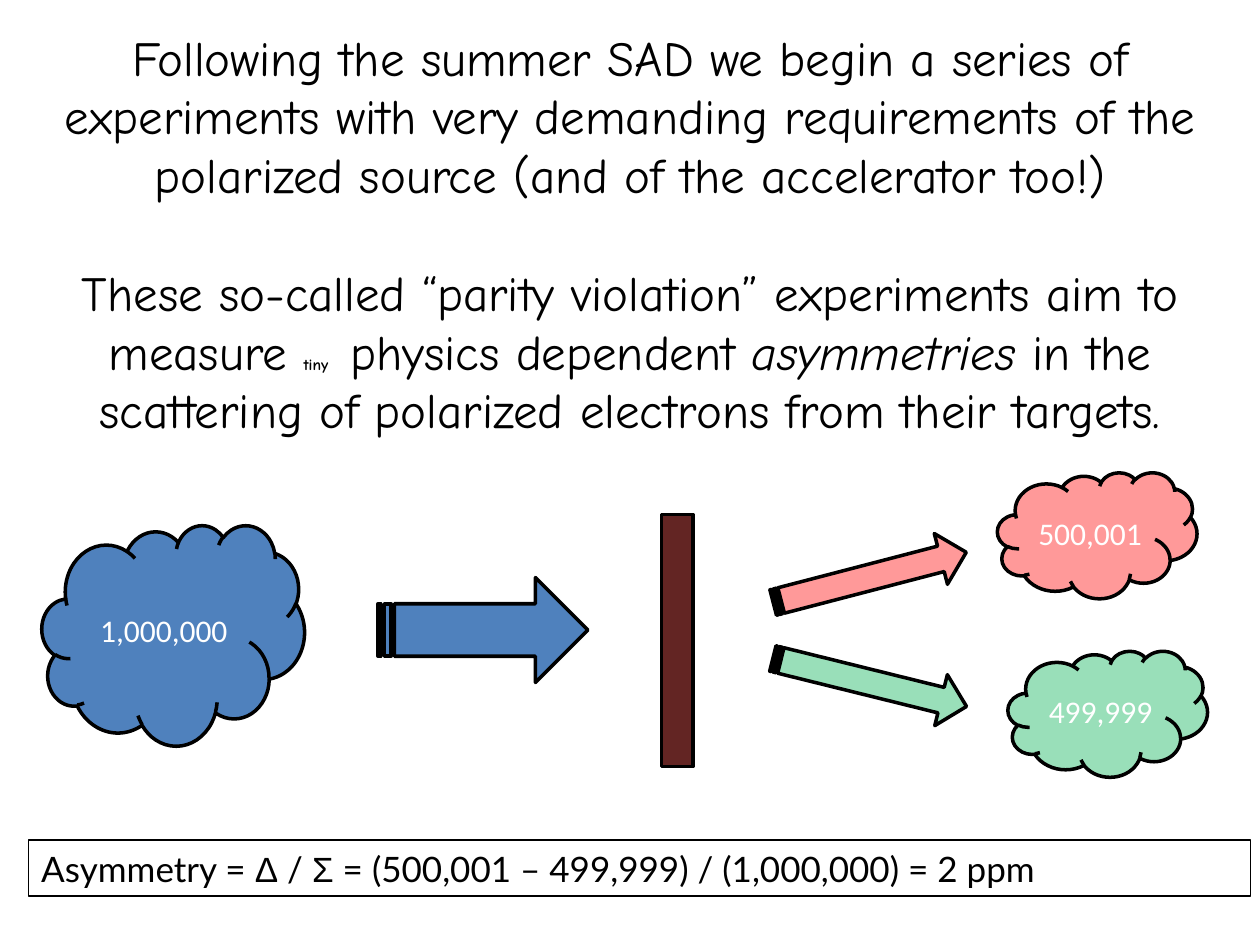
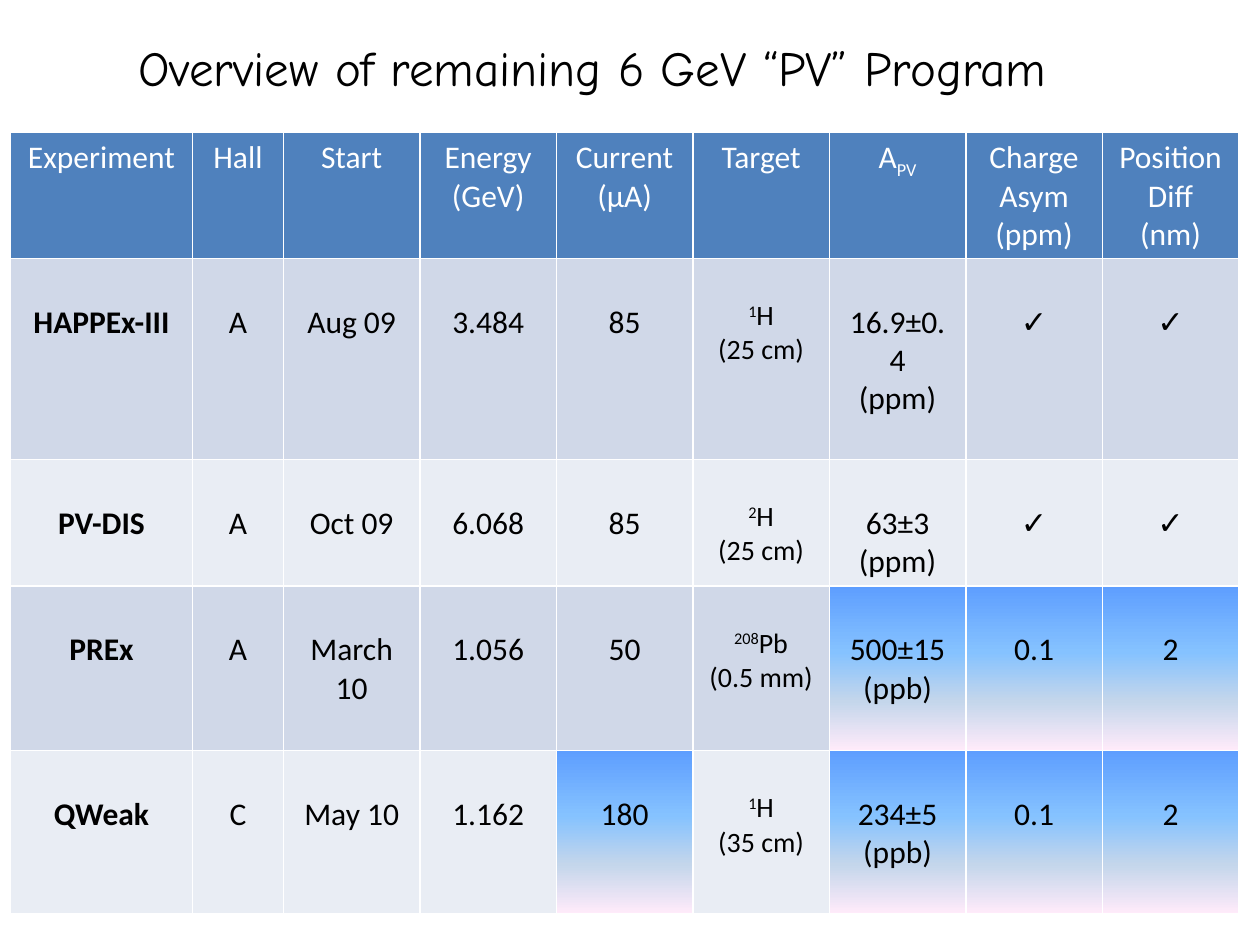
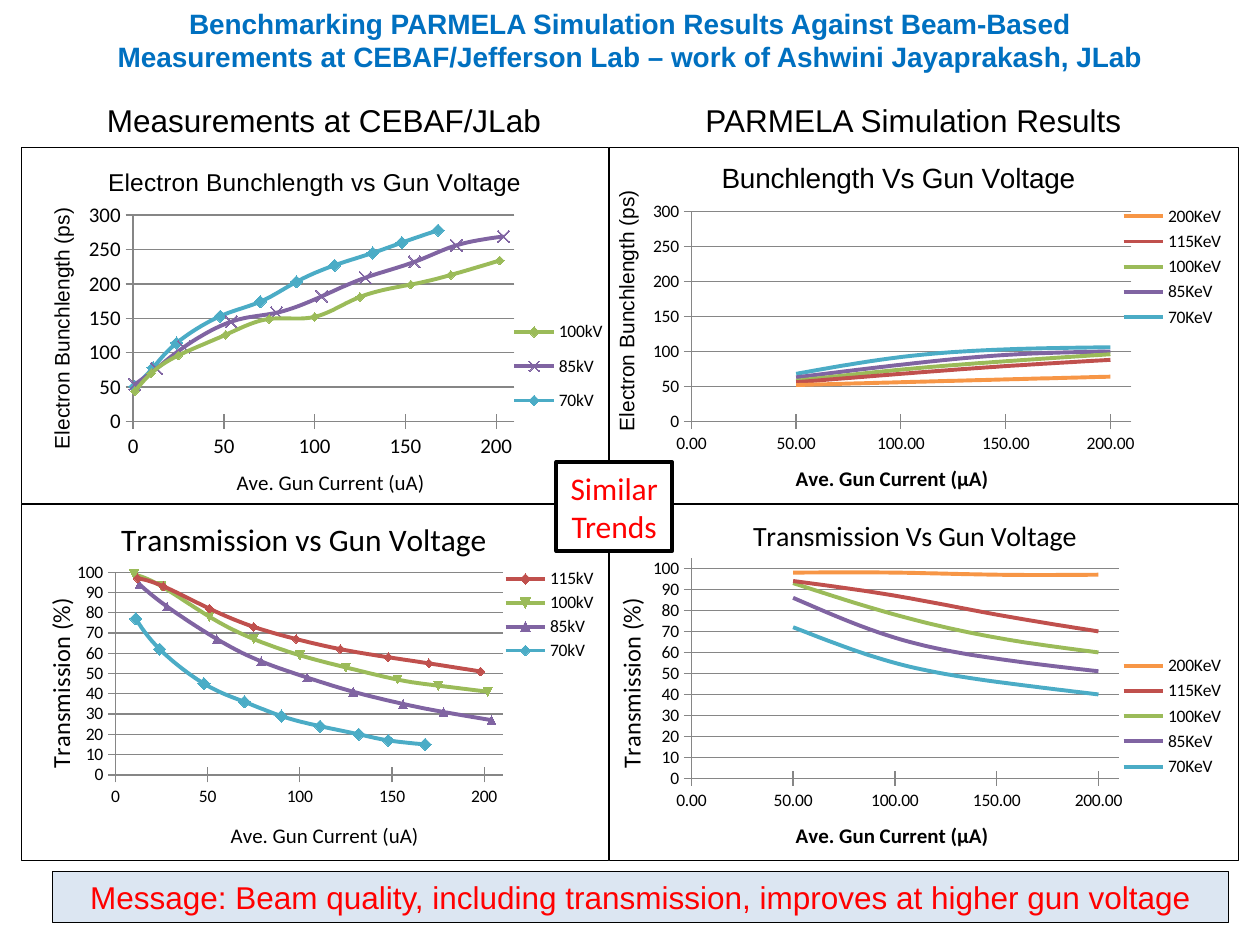
from dataclasses import dataclass, replace
from typing import NamedTuple, Optional

from lxml.etree import SubElement
from pptx import Presentation
from pptx.chart.data import XyChartData
from pptx.dml.color import RGBColor
from pptx.enum.chart import XL_CHART_TYPE as ChartKind
from pptx.enum.chart import XL_LEGEND_POSITION as LegendSide
from pptx.enum.chart import XL_MARKER_STYLE as Mark
from pptx.enum.chart import XL_TICK_MARK as Tick
from pptx.enum.shapes import MSO_SHAPE as Preset
from pptx.enum.text import MSO_ANCHOR as Anchor
from pptx.enum.text import PP_ALIGN as Align
from pptx.oxml import parse_xml
from pptx.oxml.ns import nsdecls, qn
from pptx.util import Pt

# Shared colours
BLACK, WHITE, RED = "000000", "FFFFFF", "FF0000"
BLUE, GREEN, MAROON, TITLE_BLUE = "4F81BD", "00B050", "632523", "0070C0"
BAND_DARK, BAND_LIGHT, MESSAGE_FILL, GRID = "D0D8E8", "E9EDF4", "DCE6F2", "868686"
HIGHLIGHT = [(0, "5E9EFF"), (40, "85C2FF"), (70, "C4D6EB"), (100, "FFEBFA")]


class Box(NamedTuple):
    left: float
    top: float
    width: float
    height: float


class Span(NamedTuple):
    text: str
    size: Optional[float] = None
    font: Optional[str] = None
    bold: Optional[bool] = None
    italic: Optional[bool] = None
    baseline: int = 0


@dataclass(frozen=True)
class Style:
    font: str
    size: float
    color: str = BLACK
    bold: bool = False
    align: Align = Align.CENTER


# Shared text styles
HEADLINE = Style("Comic Neue", 28)
BODY = Style("Calibri", 18)
ARIAL = Style("Arial", 18, align=Align.LEFT)


def rgb(value: str) -> RGBColor:
    return RGBColor.from_string(value)


def set_font(font, style: Style) -> None:
    font.name, font.size, font.bold = style.font, Pt(style.size), style.bold
    font.color.rgb = rgb(style.color)


def write(frame, paragraphs: list, style: Style, gap: float = 0) -> None:
    """Each paragraph is a string or a list of spans."""
    for number, content in enumerate(paragraphs):
        paragraph = frame.add_paragraph() if number else frame.paragraphs[0]
        paragraph.alignment = style.align
        if number and gap:
            paragraph.space_before = Pt(gap)
        set_font(paragraph.font, style)
        for span in [Span(content)] if isinstance(content, str) else content:
            run = paragraph.add_run()
            run.text = span.text
            if span.size:
                run.font.size = Pt(span.size)
            if span.font:
                run.font.name = span.font
            if span.bold:
                run.font.bold = True
            if span.italic:
                run.font.italic = True
            if span.baseline:
                run._r.get_or_add_rPr().set("baseline", str(span.baseline * 1000))


def add_text(slide, box: Box, paragraphs: list, style: Style, gap: float = 0) -> None:
    frame = slide.shapes.add_textbox(*map(Pt, box)).text_frame
    frame.word_wrap = True
    write(frame, paragraphs, style, gap)


@dataclass
class Part:
    preset: Preset
    box: Box
    fill: Optional[str] = None
    line: float = 2
    text: tuple = ()
    style: Style = replace(BODY, color=WHITE)
    opacity: int = 100
    turn: float = 0


def add_part(slide, part: Part) -> None:
    shape = slide.shapes.add_shape(part.preset, *map(Pt, part.box))
    shape.shadow.inherit = False
    shape.rotation = part.turn
    shape.line.color.rgb, shape.line.width = rgb(BLACK), Pt(part.line)
    if part.fill:
        shape.fill.solid()
        shape.fill.fore_color.rgb = rgb(part.fill)
    else:
        shape.fill.background()
    if part.opacity < 100:
        color = shape._element.spPr.find(qn("a:solidFill"))[0]
        SubElement(color, qn("a:alpha")).set("val", str(part.opacity * 1000))
    if part.text:
        shape.text_frame.word_wrap = True
        shape.text_frame.vertical_anchor = Anchor.MIDDLE
        write(shape.text_frame, list(part.text), part.style)


# Slide 1: the asymmetry measurement
def build_asymmetry(slide) -> None:
    add_text(slide, Box(0, 12, 720, 261), [
        "Following the summer SAD we begin a series of experiments with very demanding "
        "requirements of the polarized source (and of the accelerator too!)",
        [Span("These so-called “parity violation” experiments aim to measure "),
         Span("tiny ", size=9, bold=True), Span(" physics dependent "),
         Span("asymmetries", italic=True),
         Span(" in the scattering of polarized electrons from their targets.")],
    ], HEADLINE, gap=33.5)

    cloud, arrow = Preset.CLOUD, Preset.STRIPED_RIGHT_ARROW
    equation = [Span("Asymmetry = "), Span("Δ", font="Arial"), Span(" / "),
                Span("Σ", font="Arial"),
                Span(" = (500,001 – 499,999) / (1,000,000) = 2 ppm")]
    for part in (
        Part(cloud, Box(24, 300, 150, 126), BLUE, text=("1,000,000",)),
        Part(arrow, Box(216, 330, 120, 60), BLUE),
        Part(Preset.RECTANGLE, Box(378, 294, 18, 144), MAROON),
        Part(arrow, Box(440, 315, 114, 30), RED, opacity=40, turn=345.4),
        Part(arrow, Box(440, 375, 114, 30), GREEN, opacity=40, turn=13.9),
        Part(cloud, Box(570, 270, 114, 72), RED, text=("500,001",), opacity=40),
        Part(cloud, Box(576, 372, 114, 72), GREEN, text=("499,999",), opacity=40),
        Part(Preset.RECTANGLE, Box(16.5, 480, 698, 32), line=0.75, text=(equation,),
             style=Style("Lato", 20, align=Align.LEFT)),
    ):
        add_part(slide, part)


# Slide 2: the experiment table
class Experiment(NamedTuple):
    name: str
    hall: str
    start: str
    energy: str
    current: str
    mass: str
    element: str
    length: str
    asymmetry: tuple
    charge: str
    position: str
    highlighted: tuple = ()

    def cells(self) -> list:
        target = [[Span(self.mass, baseline=30), Span(self.element)], f"({self.length})"]
        return [[self.name], [self.hall], [self.start], [self.energy], [self.current],
                target, list(self.asymmetry), [self.charge], [self.position]]


HEADER = [["Experiment"], ["Hall"], ["Start"], ["Energy", "(GeV)"], ["Current", "(µA)"],
          ["Target"], [[Span("A"), Span("PV", baseline=-25)]],
          ["Charge Asym", "(ppm)"], ["Position Diff", "(nm)"]]
EXPERIMENTS = [
    Experiment("HAPPEx-III", "A", "Aug 09", "3.484", "85", "1", "H", "25 cm",
               ("16.9±0.4", "(ppm)"), "✓", "✓"),
    Experiment("PV-DIS", "A", "Oct 09", "6.068", "85", "2", "H", "25 cm",
               ("63±3", "(ppm)"), "✓", "✓"),
    Experiment("PREx", "A", "March 10", "1.056", "50", "208", "Pb", "0.5 mm",
               ("500±15", "(ppb)"), "0.1", "2", (6, 7, 8)),
    Experiment("QWeak", "C", "May 10", "1.162", "180", "1", "H", "35 cm",
               ("234±5", "(ppb)"), "0.1", "2", (4, 6, 7, 8)),
]
TARGET_COLUMN = 5


def paint_cell(cell, fill: Optional[str]) -> None:
    """White borders, then a plain fill, or the highlight gradient if there is none."""
    properties = cell._tc.get_or_add_tcPr()
    for side in "LRTB":
        properties.append(parse_xml(
            f'<a:ln{side} {nsdecls("a")} w="{Pt(1)}"><a:solidFill>'
            f'<a:srgbClr val="{WHITE}"/></a:solidFill></a:ln{side}>'))
    if fill:
        cell.fill.solid()
        cell.fill.fore_color.rgb = rgb(fill)
        return
    stops = "".join(f'<a:gs pos="{share * 1000}"><a:srgbClr val="{color}"/></a:gs>'
                    for share, color in HIGHLIGHT)
    properties.append(parse_xml(
        f'<a:gradFill {nsdecls("a")} rotWithShape="1"><a:gsLst>{stops}</a:gsLst>'
        f'<a:lin ang="5400000" scaled="0"/></a:gradFill>'))


def build_program(slide) -> None:
    widths, heights = [104, 52] + [78] * 7, [72, 115, 72, 94, 93]
    table = slide.shapes.add_table(len(heights), len(widths), Pt(6), Pt(75.6),
                                   Pt(sum(widths)), Pt(sum(heights))).table
    table.first_row = table.horz_banding = False
    for column, width in zip(table.columns, widths):
        column.width = Pt(width)
    for row, height in zip(table.rows, heights):
        row.height = Pt(height)

    for column, label in enumerate(HEADER):
        cell = table.cell(0, column)
        paint_cell(cell, BLUE)
        write(cell.text_frame, label, replace(BODY, color=WHITE))
    for row, experiment in enumerate(EXPERIMENTS, start=1):
        band = BAND_DARK if row % 2 else BAND_LIGHT
        for column, content in enumerate(experiment.cells()):
            cell = table.cell(row, column)
            paint_cell(cell, None if column in experiment.highlighted else band)
            size = 16 if column == TARGET_COLUMN else 18
            cell.margin_top = Pt(3.6 + 1.22 * size)  # one line down
            write(cell.text_frame, content, replace(BODY, size=size, bold=column == 0))

    add_text(slide, Box(72, 18, 578, 41), ["Overview of remaining 6 GeV “PV” Program"],
             replace(HEADLINE, align=Align.LEFT))


# Slide 3: measured and simulated curves
class Curve(NamedTuple):
    name: str
    color: str
    x: list
    y: list
    mark: Optional[Mark] = None
    mark_size: int = 7


class Caption(NamedTuple):
    text: str
    style: Style
    x: float
    y: float


@dataclass
class Panel:
    box: Box
    title: Caption
    x_title: Caption
    y_title: Caption
    plot: tuple
    legend: tuple
    curves: list
    y_max: float
    y_step: float
    tick_size: float = 10
    simulated: bool = False


ORANGE, BRICK, OLIVE, PURPLE, TEAL = "F79646", "C0504D", "9BBB59", "8064A2", "4BACC6"
DARK_RED = "C00000"
BEAM_100 = [10, 25, 51, 75, 100, 125, 153, 175, 202]
BEAM_70 = [11, 24, 48, 70, 90, 111, 132, 148, 168]


def simulated_curves(*columns: list) -> list:
    names = ("200KeV", "115KeV", "100KeV", "85KeV", "70KeV")
    return [Curve(name, color, [50, 100, 150, 200], values) for name, color, values
            in zip(names, (ORANGE, BRICK, OLIVE, PURPLE, TEAL), columns)]


MEASURED_LENGTH = [
    Curve("115kV", DARK_RED, [], [], Mark.SQUARE),  # legend entry only
    Curve("100kV", OLIVE, [1] + BEAM_100, [44, 70, 96, 126, 149, 152, 181, 199, 213, 234]),
    Curve("85kV", PURPLE, [1, 13, 28, 54, 79, 104, 128, 155, 178, 204],
          [54, 77, 108, 145, 158, 182, 209, 232, 256, 269], Mark.X),
    Curve("70kV", TEAL, [1] + BEAM_70, [51, 78, 114, 153, 174, 203, 227, 245, 260, 278],
          Mark.DIAMOND),
]
MEASURED_TRANSMISSION = [
    Curve("115kV", BRICK, [12, 26, 51, 75, 98, 122, 148, 170, 198],
          [97, 93, 82, 73, 67, 62, 58, 55, 51], Mark.DIAMOND, 5),
    Curve("100kV", OLIVE, BEAM_100, [99, 93, 78, 67, 59, 53, 47, 44, 41]),
    Curve("85kV", PURPLE, [13, 28, 55, 79, 104, 129, 156, 178, 204],
          [94, 83, 67, 56, 48, 41, 35, 31, 27], Mark.TRIANGLE, 5),
    Curve("70kV", TEAL, BEAM_70, [77, 62, 45, 36, 29, 24, 20, 17, 15], Mark.DIAMOND),
]
SIMULATED_LENGTH = simulated_curves([52, 56, 60, 64], [56, 68, 79, 88], [58, 74, 86, 96],
                                    [63, 81, 95, 100], [68, 92, 103, 106])
SIMULATED_TRANSMISSION = simulated_curves([98, 98, 97, 97], [94, 87, 78, 70],
                                          [93, 78, 67, 60], [86, 67, 57, 51],
                                          [72, 55, 46, 40])

SMALL, MEDIUM = replace(BODY, size=12), replace(BODY, size=14)
SMALL_BOLD, SMALL_ARIAL = replace(SMALL, bold=True), replace(ARIAL, size=12)
PANELS = [
    Panel(Box(348, 84, 360, 204),
          Caption("Bunchlength Vs Gun Voltage", replace(ARIAL, size=16), 0.17, 0.02),
          Caption("Ave. Gun Current (µA)", SMALL_BOLD, 0.29, 0.88),
          Caption("Electron Bunchlength (ps)", SMALL_ARIAL, 0, 0.11),
          (0.13, 0.18, 0.7, 0.59), (0.81, 0.15, 0.17, 0.37),
          SIMULATED_LENGTH, 300, 50, simulated=True),
    Panel(Box(12, 84, 336, 204),
          Caption("Electron Bunchlength vs Gun Voltage", replace(ARIAL, size=14), 0.14, 0.04),
          Caption("Ave. Gun Current (uA)", SMALL, 0.36, 0.89),
          Caption("Electron Bunchlength (ps)", SMALL_ARIAL, 0.04, 0.16),
          (0.19, 0.19, 0.65, 0.58), (0.83, 0.45, 0.17, 0.33),
          MEASURED_LENGTH, 300, 50, tick_size=12),
    Panel(Box(12, 288, 336, 204),
          Caption("Transmission vs Gun Voltage", BODY, 0.16, 0.02),
          Caption("Ave. Gun Current (uA)", SMALL, 0.35, 0.88),
          Caption("Transmission (%)", MEDIUM, 0.03, 0.25),
          (0.16, 0.19, 0.66, 0.57), (0.81, 0.17, 0.18, 0.28),
          MEASURED_TRANSMISSION, 100, 10),
    Panel(Box(348, 288, 360, 204),
          Caption("Transmission Vs Gun Voltage", replace(BODY, size=16), 0.22, 0.02),
          Caption("Ave. Gun Current (µA)", SMALL_BOLD, 0.29, 0.88),
          Caption("Transmission (%)", MEDIUM, 0, 0.25),
          (0.13, 0.15, 0.68, 0.62), (0.81, 0.41, 0.17, 0.37),
          SIMULATED_TRANSMISSION, 105, 10, simulated=True),
]


def place(element, index: int, shares: tuple, inner: bool = False) -> None:
    """Give a chart element a manual layout, in shares of the chart."""
    for old in element.findall(qn("c:layout")):
        element.remove(old)
    target = '<c:layoutTarget val="inner"/>' if inner else ""
    modes = "".join(f'<c:{axis}Mode val="edge"/>' for axis in "xy")
    sizes = "".join(f'<c:{key} val="{share}"/>' for key, share in zip("xywh", shares))
    element.insert(index, parse_xml(
        f'<c:layout {nsdecls("c")}><c:manualLayout>{target}{modes}{sizes}'
        f'</c:manualLayout></c:layout>'))


def set_caption(title, caption: Caption, upright: bool = False) -> None:
    write(title.text_frame, [caption.text], caption.style)
    if upright:
        body = title.text_frame._txBody.bodyPr
        body.set("rot", "-5400000")
        body.set("vert", "horz")
    place(title._element, 1, (caption.x, caption.y))


def set_axis(axis, caption: Caption, top: float, step: float, upright: bool) -> None:
    axis.minimum_scale, axis.maximum_scale, axis.major_unit = 0, top, step
    axis.major_tick_mark, axis.minor_tick_mark = Tick.CROSS, Tick.NONE
    axis.has_major_gridlines, axis.has_minor_gridlines = upright, False
    lines = [axis.format.line] + ([axis.major_gridlines.format.line] if upright else [])
    for line in lines:
        line.color.rgb, line.width = rgb(GRID), Pt(0.75)
    set_caption(axis.axis_title, caption, upright)


def set_curve(series, curve: Curve, number: int, simulated: bool) -> None:
    series._element.find(qn("c:smooth")).set("val", "1")
    series.format.line.color.rgb, series.format.line.width = rgb(curve.color), Pt(2.25)
    if simulated:
        return
    # The index chooses the automatic marker
    series._element.find(qn("c:idx")).set("val", str(number + 1))
    if curve.mark:
        marker = series.marker
        marker.style, marker.size = curve.mark, curve.mark_size
        marker.format.line.color.rgb, marker.format.line.width = rgb(curve.color), Pt(0.75)
        if curve.mark == Mark.X:
            marker.format.fill.background()
        else:
            marker.format.fill.solid()
            marker.format.fill.fore_color.rgb = rgb(curve.color)


def add_panel(slide, panel: Panel) -> None:
    points = XyChartData()
    for curve in panel.curves:
        series = points.add_series(curve.name)
        for x, y in zip(curve.x, curve.y):
            series.add_data_point(x, y)
    kind = (ChartKind.XY_SCATTER_SMOOTH_NO_MARKERS if panel.simulated
            else ChartKind.XY_SCATTER_SMOOTH)
    chart = slide.shapes.add_chart(kind, *map(Pt, panel.box), points).chart
    set_font(chart.font, replace(BODY, size=panel.tick_size))
    chart.plots[0].vary_by_categories = False
    set_caption(chart.chart_title, panel.title)
    set_axis(chart.category_axis, panel.x_title, 210, 50, False)
    set_axis(chart.value_axis, panel.y_title, panel.y_max, panel.y_step, True)
    labels = chart.category_axis.tick_labels
    labels.number_format = "#,##0.00" if panel.simulated else "General"
    labels.number_format_is_linked = False
    for number, (series, curve) in enumerate(zip(chart.plots[0].series, panel.curves)):
        set_curve(series, curve, number, panel.simulated)

    chart.has_legend = True
    chart.legend.position, chart.legend.include_in_layout = LegendSide.RIGHT, False
    set_font(chart.legend.font, replace(BODY, size=10))
    place(chart.legend._element, 1, panel.legend)
    body = chart._chartSpace.find(qn("c:chart"))
    place(body.find(qn("c:plotArea")), 0, panel.plot, inner=True)
    body.addnext(parse_xml(
        f'<c:spPr {nsdecls("c", "a")}><a:solidFill><a:srgbClr val="{WHITE}"/></a:solidFill>'
        f'<a:ln w="{Pt(0.75)}"><a:solidFill><a:srgbClr val="{BLACK}"/></a:solidFill></a:ln>'
        f'</c:spPr>'))


def build_benchmark(slide) -> None:
    for panel in PANELS:
        add_panel(slide, panel)
    for left, heading in ((54, "Measurements at CEBAF/JLab"),
                          (396, "PARMELA Simulation Results")):
        add_text(slide, Box(left, 54, 264, 29), [heading], ARIAL)
    add_text(slide, Box(48, 0, 624, 46), [
        "Benchmarking PARMELA Simulation Results Against Beam-Based Measurements at "
        "CEBAF/Jefferson Lab – work of Ashwini Jayaprakash, JLab",
    ], Style("Arial", 16, TITLE_BLUE, bold=True))
    add_part(slide, Part(
        Preset.RECTANGLE, Box(30, 498, 672, 29), MESSAGE_FILL, 0.75,
        ("Message: Beam quality, including transmission, improves at higher gun voltage",),
        Style("Arial", 18, RED)))
    add_part(slide, Part(Preset.RECTANGLE, Box(318, 264, 66, 51), WHITE, 2.25,
                         ("Similar Trends",), replace(BODY, color=RED)))


def main() -> None:
    deck = Presentation()
    deck.slide_width, deck.slide_height = Pt(720), Pt(540)
    for build in (build_asymmetry, build_program, build_benchmark):
        build(deck.slides.add_slide(deck.slide_layouts[6]))
    deck.save("out.pptx")


if __name__ == "__main__":
    main()
